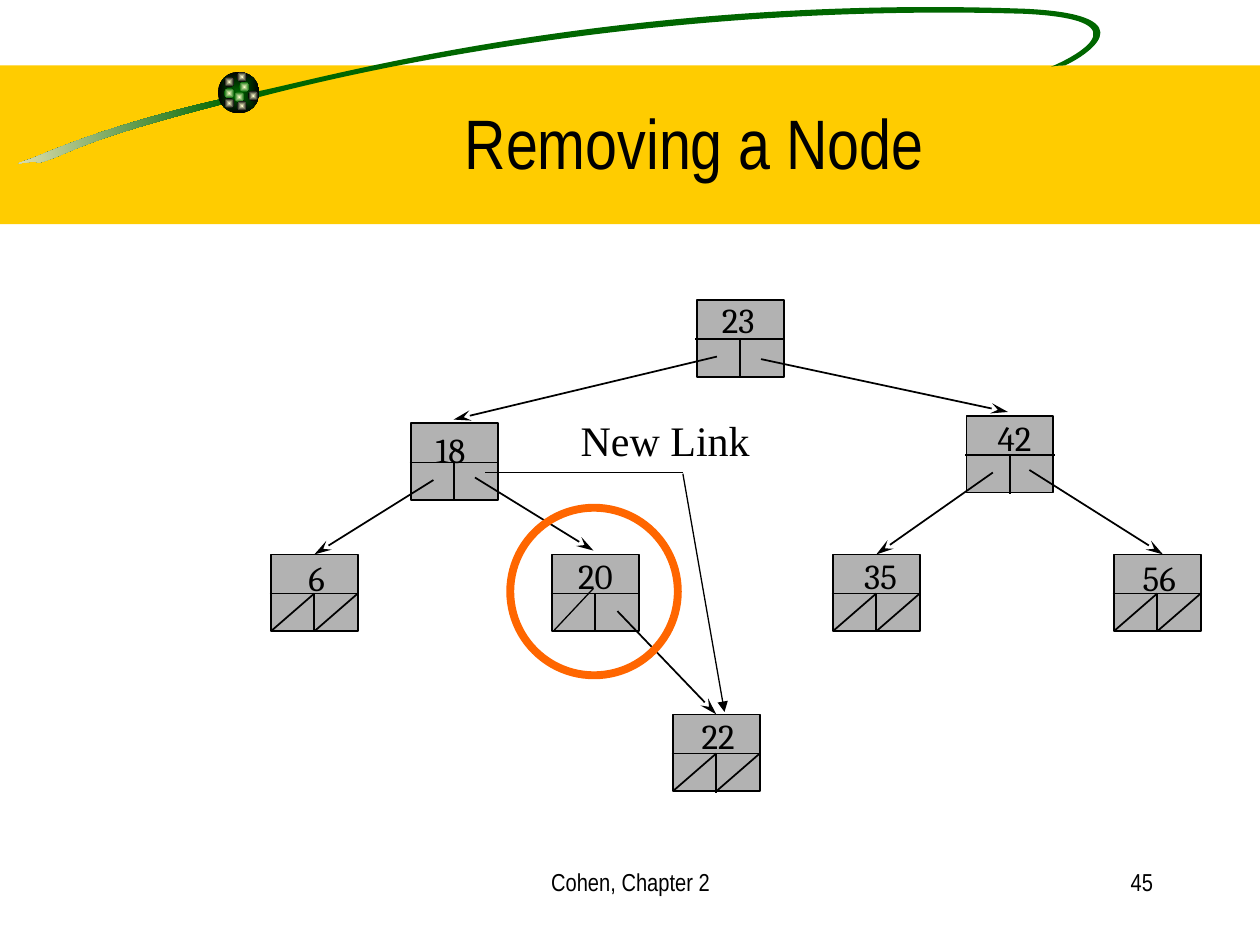
import math

import lxml.etree
import pptx
import pptx.dml.color
import pptx.enum.shapes
import pptx.enum.text
import pptx.oxml.ns
import pptx.util

Inches = pptx.util.Inches
Pt = pptx.util.Pt
SHAPE = pptx.enum.shapes.MSO_SHAPE
ALIGN = pptx.enum.text.PP_ALIGN
FIT = pptx.enum.text.MSO_AUTO_SIZE
qn = pptx.oxml.ns.qn

COLORS = {
    "band": "FFCC00", "green": "006600", "sand": "F5EBC1", "cream": "FFFFCC",
    "black": "000000", "white": "FFFFFF", "gray": "B2B2B2", "ring": "FF6600",
}
WIDE, HIGH, SPLIT, BEAD, EDGE = 0.69, 0.61, 0.31, 0.08, 0.01
TILT = -8.5
TAIL = [(1.78, 0.78),
        (0.91, 0.98), (0.49, 1.16), (0.25, 1.26),
        (0.01, 1.34), (0.26, 1.26), (0.31, 1.29),
        (0.57, 1.22), (0.57, 1.13), (1.79, 0.82)]
SWOOSH = [(2.02, 0.73),
          (2.46, 0.65), (4.86, -0.05), (8.14, 0.07),
          (9.17, 0.12), (8.57, 0.47), (8.45, 0.52),
          (8.45, 0.52), (8.38, 0.52), (8.34, 0.53),
          (8.44, 0.49), (9.16, 0.16), (8.13, 0.11),
          (5.48, 0.03), (3.2, 0.47), (2.06, 0.77)]
BEADS = [(1.9, 0.65, "green"), (1.78, 0.61, "black"), (1.78, 0.7, "green"),
         (1.86, 0.73, "green"), (1.97, 0.72, "black"), (1.88, 0.8, "black"),
         (1.78, 0.78, "black"), (1.88, 0.57, "black")]
NODES = [
    ("23", (5.53, 2.38), (5.63, 2.32), False, None),
    ("18", (3.26, 3.36), (3.36, 3.35), False, ((5.69, 2.83), (3.6, 3.33))),
    ("6", (2.15, 4.4), (2.35, 4.37), True, ((3.44, 3.81), (2.48, 4.4))),
    ("20", (4.38, 4.4), (4.49, 4.35), False, ((3.77, 3.79), (4.71, 4.37))),
    ("22", (5.34, 5.67), (5.47, 5.62), True, ((4.9, 4.85), (5.69, 5.67))),
    ("42", (7.67, 3.3), (7.82, 3.26), False, ((6.04, 2.85), (8, 3.27))),
    ("35", (6.61, 4.4), (6.76, 4.35), True, ((7.88, 3.75), (6.96, 4.4))),
    ("56", (8.84, 4.4), (8.97, 4.37), True, ((8.17, 3.73), (9.23, 4.4))),
]


def tint(name):
    return pptx.dml.color.RGBColor.from_string(COLORS[name])


def turn(points, hub, angle):
    cos, sin = math.cos(math.radians(angle)), math.sin(math.radians(angle))
    gaps = [(x - hub[0], y - hub[1]) for x, y in points]
    return [(hub[0] + x * cos - y * sin, hub[1] + x * sin + y * cos) for x, y in gaps]


class Painter:
    """Holds the style and the current slide, and draws each kind of element."""

    def __init__(self, slide):
        self.slide = slide
        self.shapes = slide.shapes

    def paint(self, shape, fill=None, line=None, width=1):
        shape.shadow.inherit = False
        if isinstance(fill, tuple):
            shape.fill.gradient()
            shape.fill.gradient_angle = 180
            for stop, name in zip(shape.fill.gradient_stops, fill):
                stop.color.rgb = tint(name)
        elif fill:
            shape.fill.solid()
            shape.fill.fore_color.rgb = tint(fill)
        else:
            shape.fill.background()
        if line:
            shape.line.color.rgb = tint(line)
            shape.line.width = Pt(width)
        else:
            shape.line.fill.background()
        return shape

    def shape(self, kind, x, y, w, h, **style):
        item = self.shapes.add_shape(kind, Inches(x), Inches(y), Inches(w), Inches(h))
        return self.paint(item, **style)

    def veil(self, x, y, w, h):
        item = self.shape(SHAPE.RECTANGLE, x, y, w, h, fill="white")
        color = next(item._element.spPr.iter(qn("a:srgbClr")))
        lxml.etree.SubElement(color, qn("a:alpha"), val="50000")

    def ball(self, x, y, size, inner, outer):
        item = self.shape(SHAPE.OVAL, x, y, size, size, fill=(inner, outer))
        lin = next(item._element.iter(qn("a:lin")))
        glow = lxml.etree.Element(qn("a:path"), {"path": "rect"})
        sides = dict.fromkeys("ltrb", "50000")
        lxml.etree.SubElement(glow, qn("a:fillToRect"), sides)
        lin.getparent().replace(lin, glow)

    def sweep(self, points, hub, fill):
        dots = [(Inches(x), Inches(y)) for x, y in turn(points, hub, -TILT)]
        form = self.shapes.build_freeform(*dots[0])
        form.add_line_segments(dots[1:], close=True)
        item = self.paint(form.convert_to_shape(), fill=fill)
        item.rotation = TILT
        legs = list(item._element.iter(qn("a:lnTo")))
        for i in range(0, len(legs), 3):
            bend = lxml.etree.Element(qn("a:cubicBezTo"))
            legs[i].addprevious(bend)
            for leg in legs[i:i + 3]:
                bend.append(leg[0])
                leg.getparent().remove(leg)

    def line(self, start, end, width=1.0, head=None, size="med", box=None):
        ends = [Inches(v) for v in (*start, *end)]
        item = self.shapes.add_connector(pptx.enum.shapes.MSO_CONNECTOR.STRAIGHT, *ends)
        item.line.color.rgb = tint("black")
        item.line.width = Pt(width)
        if head:
            stroke = item._element.spPr.find(qn("a:ln"))
            lxml.etree.SubElement(stroke, qn("a:tailEnd"), type=head, w="med", len=size)
        lxml.etree.SubElement(item._element.spPr, qn("a:effectLst"))
        if box is not None:
            item.end_connect(box, 0)

    def style(self, frame, text, size, font, align):
        frame.text = text
        par = frame.paragraphs[0]
        par.alignment = align
        par.font.size = Pt(size)
        par.font.name = font
        par.font.color.rgb = tint("black")

    def text(self, text, x, y, w, h, size, font, align=ALIGN.LEFT, wrap=True, fit=FIT.NONE):
        frame = self.shapes.add_textbox(Inches(x), Inches(y), Inches(w), Inches(h)).text_frame
        frame.word_wrap = wrap
        frame.auto_size = fit
        self.style(frame, text, size, font, align)

    def title(self, text, x, y, w, h):
        item = self.shapes.title
        self.shapes._spTree.append(item._element)
        item.left, item.top, item.width, item.height = map(Inches, (x, y, w, h))
        item.text_frame.vertical_anchor = pptx.enum.text.MSO_ANCHOR.MIDDLE
        self.style(item.text_frame, text, 40, "Arial Narrow", ALIGN.CENTER)

    def node(self, label, place, spot, leaf, link):
        x, y = place
        mid, base, low = x + WIDE / 2, y + SPLIT, y + HIGH
        box = self.shape(SHAPE.RECTANGLE, x, y, WIDE, HIGH, fill="gray", line="black")
        self.line((x - EDGE, base), (x + WIDE + EDGE, base))
        self.line((mid, base), (mid, low + EDGE))
        if link:
            tip = link[1]
            joins = abs(tip[0] - mid) < 0.02 and tip[1] == y
            self.line(*link, head="stealth", size="lg", box=box if joins else None)
        if leaf:
            for left in (x, mid):
                self.line((left, low), (left + WIDE / 2, base))
        wide = 0.21 + 0.15 * len(label)
        self.text(label, *spot, wide, 0.43, 20, "Cambria", wrap=False, fit=FIT.SHAPE_TO_FIT_TEXT)


def main():
    deck = pptx.Presentation()
    deck.slide_width, deck.slide_height = Inches(10), Inches(7.5)
    art = Painter(deck.slides.add_slide(deck.slide_layouts[5]))

    art.shape(SHAPE.RECTANGLE, 0, 0.52, 10, 1.26, fill="band")
    art.sweep(TAIL, (0.89, 1.06), ("green", "sand"))
    art.sweep(SWOOSH, (5.59, 0.4), "green")
    art.ball(1.73, 0.57, 0.33, "green", "black")
    for x, y, outer in BEADS:
        art.ball(x, y, BEAD, "cream", outer)
    art.veil(0.74, 2.06, 1.22, 5.44)
    art.title("Removing a Node", 1.26, 0.5, 8.5, 1.25)

    for node in NODES:
        art.node(*node)

    art.shape(SHAPE.OVAL, 4.05, 4.03, 1.33, 1.33, line="ring", width=4.5)
    art.line((4.71, 4.67), (4.4, 5), 0.75)
    art.line((5.42, 3.76), (5.75, 5.65), 0.75, "triangle")
    art.line((3.85, 3.75), (5.42, 3.75), 0.75)
    art.text("New Link", 4.51, 3.24, 1.96, 0.5, 24, "Times New Roman", fit=FIT.SHAPE_TO_FIT_TEXT)
    art.text("Cohen, Chapter 2", 3.42, 6.83, 3.17, 0.5, 14, "Arial Narrow", ALIGN.CENTER)
    art.text("45", 7.17, 6.83, 2.08, 0.5, 14, "Arial Narrow", ALIGN.RIGHT)
    deck.save("out.pptx")


if __name__ == "__main__":
    main()
